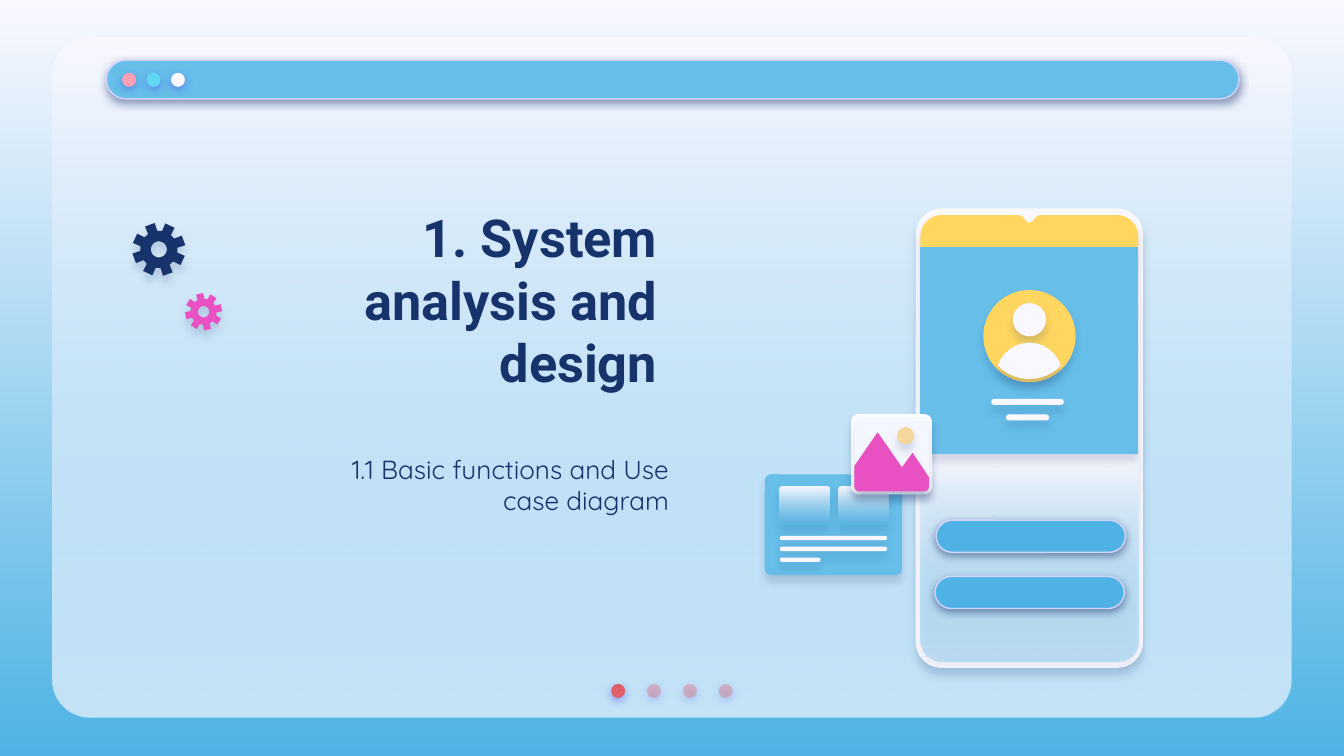
import math
from lxml import etree
from pptx import Presentation, util as u
from pptx.dml.color import RGBColor
from pptx.enum import shapes, text
from pptx.oxml.ns import qn

NAVY, BLUE, DEEP, PALE = "17336B", "66BEE9", "4EB3E4", "F9F8FF"
YELLOW, PINK, ROSE, LILAC = "FFD65F", "E951C2", "E27B83", "D2D6FF"
SOFT = (NAVY, 16, 4.5, 3.8)
CRISP = (NAVY, 50, 4.5, 1.5)
GLOW = ("5352EE", 50, 4.5, 1.5)
ROUND, OVAL = shapes.MSO_SHAPE.ROUNDED_RECTANGLE, shapes.MSO_SHAPE.OVAL


def rgb(value):
    """Return the colour for a hex string."""
    return RGBColor.from_string(value)


def set_alpha(clr, percent):
    """Add an opacity to a colour element."""
    etree.SubElement(clr, qn("a:alpha")).set("val", str(percent * 1000))


def paint(fill, colors):
    """Fill with one hex colour, or with a top to bottom pair of them."""
    if isinstance(colors, str):
        fill.solid()
        fill.fore_color.rgb = rgb(colors)
        return
    fill.gradient()
    fill.gradient_angle = 270
    for stop, color, position in zip(fill.gradient_stops, colors, (0, 1)):
        stop.color.rgb = rgb(color)
        stop.position = position


def style(sp, fill, alpha=None, line=None, shadow=SOFT):
    """Set the fill, outline and shadow of a shape."""
    paint(sp.fill, fill)
    props = sp._element.spPr
    if alpha:
        set_alpha(list(props.iter(qn("a:srgbClr")))[-1], alpha)
    if line:
        sp.line.color.rgb = rgb(line)
        sp.line.width = u.Pt(0.75)
    else:
        sp.line.fill.background()
    sp.shadow.inherit = False
    if shadow:
        color, opacity, blur, dist = shadow
        outer = etree.SubElement(props.find(qn("a:effectLst")), qn("a:outerShdw"))
        for key, value in (("blurRad", u.Pt(blur)), ("dist", u.Pt(dist)),
                           ("dir", 5400000), ("algn", "bl"), ("rotWithShape", 0)):
            outer.set(key, str(value))
        clr = etree.SubElement(outer, qn("a:srgbClr"))
        clr.set("val", color)
        set_alpha(clr, opacity)


def rounded(s, x, y, w, h, radius, fill, **look):
    """Draw a rectangle with corners of the given radius."""
    sp = s.shapes.add_shape(ROUND, u.Pt(x), u.Pt(y), u.Pt(w), u.Pt(h))
    sp.adjustments[0] = radius / min(w, h)
    style(sp, fill, **look)


def pill(s, x, y, w, h, fill, **look):
    """Draw a bar with fully rounded ends."""
    rounded(s, x, y, w, h, h / 2, fill, **look)


def circle(s, x, y, size, fill, **look):
    """Draw a circle from its top left corner and diameter."""
    style(s.shapes.add_shape(OVAL, u.Pt(x), u.Pt(y), u.Pt(size), u.Pt(size)), fill, **look)


def outline(s, contours, fill, **look):
    """Draw a closed freeform from one or more lists of points."""
    contours = [[(u.Pt(x), u.Pt(y)) for x, y in c] for c in contours]
    builder = s.shapes.build_freeform(*contours[0][0], scale=1.0)
    for i, points in enumerate(contours):
        if i:
            builder.move_to(*points[0])
        builder.add_line_segments(points[1:], close=True)
    style(builder.convert_to_shape(), fill, **look)


def arc(cx, cy, r, start, end, steps=12):
    """Return points along an arc, in degrees clockwise from the right."""
    angles = [math.radians(start + (end - start) * i / steps) for i in range(steps + 1)]
    return [(cx + r * math.cos(a), cy + r * math.sin(a)) for a in angles]


def gear(s, cx, cy, r, tilt, fill):
    """Draw an eight-toothed gear with a round hole."""
    teeth = []
    for i in range(8):
        a = tilt + 45 * i
        for radius, turn in ((0.7, -15), (1, -11), (1, 11), (0.7, 15)):
            teeth += arc(cx, cy, r * radius, a + turn, a + turn, 1)[:1]
    outline(s, [teeth, arc(cx, cy, r * 0.3, 360, 0, 32)], fill)


def write(sp, words, font, size, bold=False, hanging=None):
    """Put one right-aligned paragraph in a shape, centred vertically."""
    tf = sp.text_frame
    tf.word_wrap = True
    tf.auto_size = text.MSO_AUTO_SIZE.NONE
    tf.vertical_anchor = text.MSO_ANCHOR.MIDDLE
    tf.margin_left = tf.margin_right = tf.margin_top = tf.margin_bottom = u.Pt(7.2)
    p = tf.paragraphs[0]
    p.alignment = text.PP_ALIGN.RIGHT
    if hanging:
        margin, indent = hanging
        props = p._p.get_or_add_pPr()
        props.set("marL", str(u.Pt(margin)))
        props.set("indent", str(u.Pt(indent)))
    r = p.add_run()
    r.text = words
    r.font.name, r.font.size, r.font.bold = font, u.Pt(size), bold
    r.font.color.rgb = rgb(NAVY)


def window(s):
    """Draw the panel, its title bar and the page dots."""
    for fill, alpha in ((PALE, None), ((PALE, BLUE), 35)):
        rounded(s, 28, 20.2, 664, 364.3, 20.4, fill, alpha=alpha, shadow=None)
    for i in range(4):
        circle(s, 327.4 + 19.2 * i, 366.4, 7.5, ROSE if i else "DF5F69",
               alpha=44 if i else None, shadow=GLOW)
    pill(s, 57, 32.3, 606.8, 20.7, BLUE, line=LILAC, shadow=CRISP)
    for i, fill in enumerate(("FDA0B4", "60D8F4", PALE)):
        circle(s, 65.4 + 13.1 * i, 39, 7.5, fill, shadow=GLOW)


def card(s):
    """Draw the card with two thumbnails and three text lines."""
    rounded(s, 409.7, 254.1, 73.5, 54, 3.4, BLUE)
    for x in (417.8, 449):
        rounded(s, x, 260.6, 26.8, 21.6, 1.4, (PALE, DEEP), alpha=58)
    for i, w in enumerate((57.5, 57.5, 21.8)):
        pill(s, 417.8, 287.1 + 5.8 * i, w, 2.3, PALE)


def phone(s):
    """Draw the phone with its profile screen and two buttons."""
    left, right, top, bottom, r = 493.1, 609.8, 115.2, 354.5, 11.5
    split, middle, cx = 132.4, 243.4, 551.5
    rounded(s, 490.6, 111.7, 121.7, 246.1, 13.8, PALE)
    outline(s, [[(left, middle), (right, middle)]
                + arc(right - r, bottom - r, r, 0, 90)
                + arc(left + r, bottom - r, r, 90, 180)], (PALE, BLUE), alpha=35)
    notch = [(cx + dx, top + dy) for dx, dy in
             ((-5.8, 0), (-3.9, 0.7), (-1.7, 3.4), (0, 4.2), (1.7, 3.4), (3.9, 0.7), (5.8, 0))]
    outline(s, [[(left, split)] + arc(left + r, top + r, r, 180, 270) + notch
                + arc(right - r, top + r, r, 270, 360) + [(right, split)]], YELLOW)
    outline(s, [[(left, split), (right, split), (right, middle), (left, middle)]], BLUE)
    circle(s, cx - 24.7, 155.4, 49.4, YELLOW)
    circle(s, cx - 8.9, 162.4, 17.8, PALE)
    outline(s, [arc(cx, 201.4, 17.8, 198, 342) + arc(cx, 179.6, 23.5, 44, 136)], PALE)
    for y, w in ((213.7, 38.9), (222, 23.2)):
        pill(s, cx - 1 - w / 2, y, w, 3.2, PALE)
    for x, y in ((501.5, 278.7), (500.9, 308.8)):
        pill(s, x, y, 101.4, 17.2, DEEP, line=LILAC, shadow=CRISP)


def photo(s):
    """Draw the photo tile with mountains and a sun."""
    rounded(s, 456, 221.8, 43.3, 43, 4, "FFFFFF")
    rounded(s, 457.8, 223.5, 39.8, 39.8, 2.6, "F5F7FF")
    outline(s, [[(470.2, 231.6), (457.8, 249.6)]
                + arc(460.4, 260.7, 2.6, 180, 90) + arc(495, 260.7, 2.6, 90, 0)
                + [(497.6, 255.6), (488.9, 242.6), (483.2, 250.4)]], PINK)
    circle(s, 480.6, 228.8, 9.3, "F5D79B")


def main():
    """Build the section slide."""
    prs = Presentation()
    prs.slide_width, prs.slide_height = u.Pt(720), u.Pt(405)
    s = prs.slides.add_slide(prs.slide_layouts[5])
    paint(s.background.fill, (PALE, DEEP))
    window(s)
    title = s.shapes.title
    title._element.getparent().append(title._element)
    title.left, title.top, title.width, title.height = map(u.Pt, (138.2, 131.8, 221, 56.9))
    write(title, "1. System analysis and design", "Roboto", 28, bold=True)
    card(s)
    phone(s)
    photo(s)
    gear(s, 85.1, 133.6, 14.3, 25, NAVY)
    gear(s, 109.1, 167, 10, 32.5, PINK)
    subtitle = s.shapes.add_textbox(*map(u.Pt, (144.7, 231.1, 221, 56.9)))
    write(subtitle, "1.1 Basic functions and Use case diagram", "Quicksand", 14,
          hanging=(36, -25.2))
    prs.save("out.pptx")


if __name__ == "__main__":
    main()
